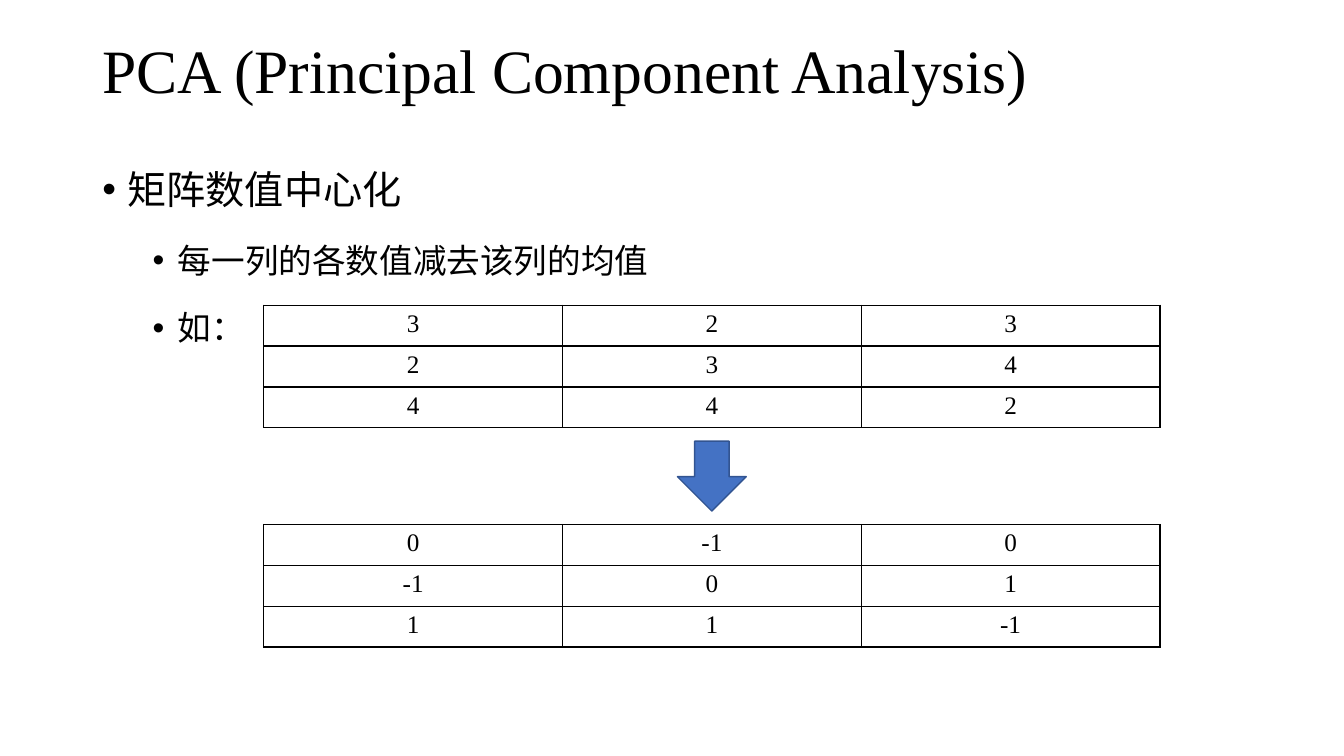
from lxml import etree
from pptx import Presentation
from pptx.dml.color import RGBColor
from pptx.enum.shapes import MSO_SHAPE
from pptx.enum.text import MSO_ANCHOR, PP_ALIGN
from pptx.oxml.ns import qn
from pptx.util import Pt

MIDDLE, TOP = MSO_ANCHOR.MIDDLE, MSO_ANCHOR.TOP
CENTER = PP_ALIGN.CENTER
DOWN_ARROW = MSO_SHAPE.DOWN_ARROW

LATIN_FONT = "Times New Roman"
CHINESE_FONT = "Noto Sans CJK SC"
BLACK, BLUE, DARK_BLUE = "000000", "4472C4", "325491"

TITLE = "PCA (Principal Component Analysis)"
# text, level
BULLETS = [
    ("矩阵数值中心化", 0),
    ("每一列的各数值减去该列的均值", 1),
    ("如：", 1),
]
# size, left margin, space before for each level
LEVELS = [(28, 18, 10), (24, 54, 5)]
HANGING = 18

ORIGINAL_MATRIX = [(3, 2, 3), (2, 3, 4), (4, 4, 2)]
CENTERED_MATRIX = [(0, -1, 0), (-1, 0, 1), (1, 1, -1)]

SLIDE_WIDTH, SLIDE_HEIGHT = 960, 540
TEXT_LEFT, TEXT_WIDTH = 66, 828
TABLE_LEFT, TABLE_WIDTH, ROW_HEIGHT = 188.4, 640.2, 29.2
TABLE_TOPS = (218, 374.6)
ARROW_WIDTH, ARROW_HEIGHT = 49.2, 50


def color(hex_code):
    return RGBColor.from_string(hex_code)


def format_text(paragraph, size, font_name):
    for run in paragraph.runs:
        run.font.size = Pt(size)
        run.font.name = font_name
        run.font.color.rgb = color(BLACK)
        east_asian = etree.SubElement(run.font._element, qn("a:ea"))
        east_asian.set("typeface", font_name)


def add_text_frame(slide, top, height, anchor):
    box = slide.shapes.add_textbox(Pt(TEXT_LEFT), Pt(top), Pt(TEXT_WIDTH), Pt(height))
    frame = box.text_frame
    frame.word_wrap = True
    frame.vertical_anchor = anchor
    return frame


def add_title(slide):
    frame = add_text_frame(slide, 0, 104.4, MIDDLE)
    frame.text = TITLE
    paragraph = frame.paragraphs[0]
    paragraph.line_spacing = 0.9
    format_text(paragraph, 44, LATIN_FONT)


def add_bullets(slide):
    frame = add_text_frame(slide, 98, 433.4, TOP)
    frame.text = "\n".join(text for text, _ in BULLETS)
    for paragraph, (_, level) in zip(frame.paragraphs, BULLETS):
        size, margin, space_before = LEVELS[level]
        paragraph.level = level
        paragraph.line_spacing = 1.5
        paragraph.space_before = Pt(space_before)
        format_text(paragraph, size, CHINESE_FONT)
        properties = paragraph._p.get_or_add_pPr()
        properties.set("marL", str(Pt(margin)))
        properties.set("indent", str(-Pt(HANGING)))
        etree.SubElement(properties, qn("a:buFont")).set("typeface", "Arial")
        etree.SubElement(properties, qn("a:buChar")).set("char", "•")


def add_borders(cell):
    properties = cell._tc.get_or_add_tcPr()
    for side in ("lnL", "lnR", "lnT", "lnB"):
        line = etree.SubElement(properties, qn(f"a:{side}"), w=str(Pt(1)))
        fill = etree.SubElement(line, qn("a:solidFill"))
        etree.SubElement(fill, qn("a:srgbClr"), val=BLACK)


def add_matrix(slide, matrix, top):
    rows, columns = len(matrix), len(matrix[0])
    table = slide.shapes.add_table(
        rows, columns, Pt(TABLE_LEFT), Pt(top), Pt(TABLE_WIDTH), Pt(rows * ROW_HEIGHT)
    ).table
    table.first_row = False
    table.horz_banding = False
    for row, values in enumerate(matrix):
        for column, value in enumerate(values):
            cell = table.cell(row, column)
            cell.text = str(value)
            paragraph = cell.text_frame.paragraphs[0]
            paragraph.alignment = CENTER
            format_text(paragraph, 18, LATIN_FONT)
            add_borders(cell)
            cell.fill.background()


def add_arrow(slide):
    """Centre a down arrow in the gap between the two matrices."""
    first_bottom = TABLE_TOPS[0] + len(ORIGINAL_MATRIX) * ROW_HEIGHT
    left = TABLE_LEFT + (TABLE_WIDTH - ARROW_WIDTH) / 2
    top = (first_bottom + TABLE_TOPS[1] - ARROW_HEIGHT) / 2
    arrow = slide.shapes.add_shape(
        DOWN_ARROW, Pt(left), Pt(top), Pt(ARROW_WIDTH), Pt(ARROW_HEIGHT)
    )
    arrow.shadow.inherit = False
    arrow.fill.solid()
    arrow.fill.fore_color.rgb = color(BLUE)
    arrow.line.color.rgb = color(DARK_BLUE)
    arrow.line.width = Pt(1)


def main():
    presentation = Presentation()
    presentation.slide_width = Pt(SLIDE_WIDTH)
    presentation.slide_height = Pt(SLIDE_HEIGHT)
    slide = presentation.slides.add_slide(presentation.slide_layouts[6])
    add_title(slide)
    add_bullets(slide)
    for matrix, top in zip((ORIGINAL_MATRIX, CENTERED_MATRIX), TABLE_TOPS):
        add_matrix(slide, matrix, top)
    add_arrow(slide)
    presentation.save("out.pptx")


if __name__ == "__main__":
    main()
